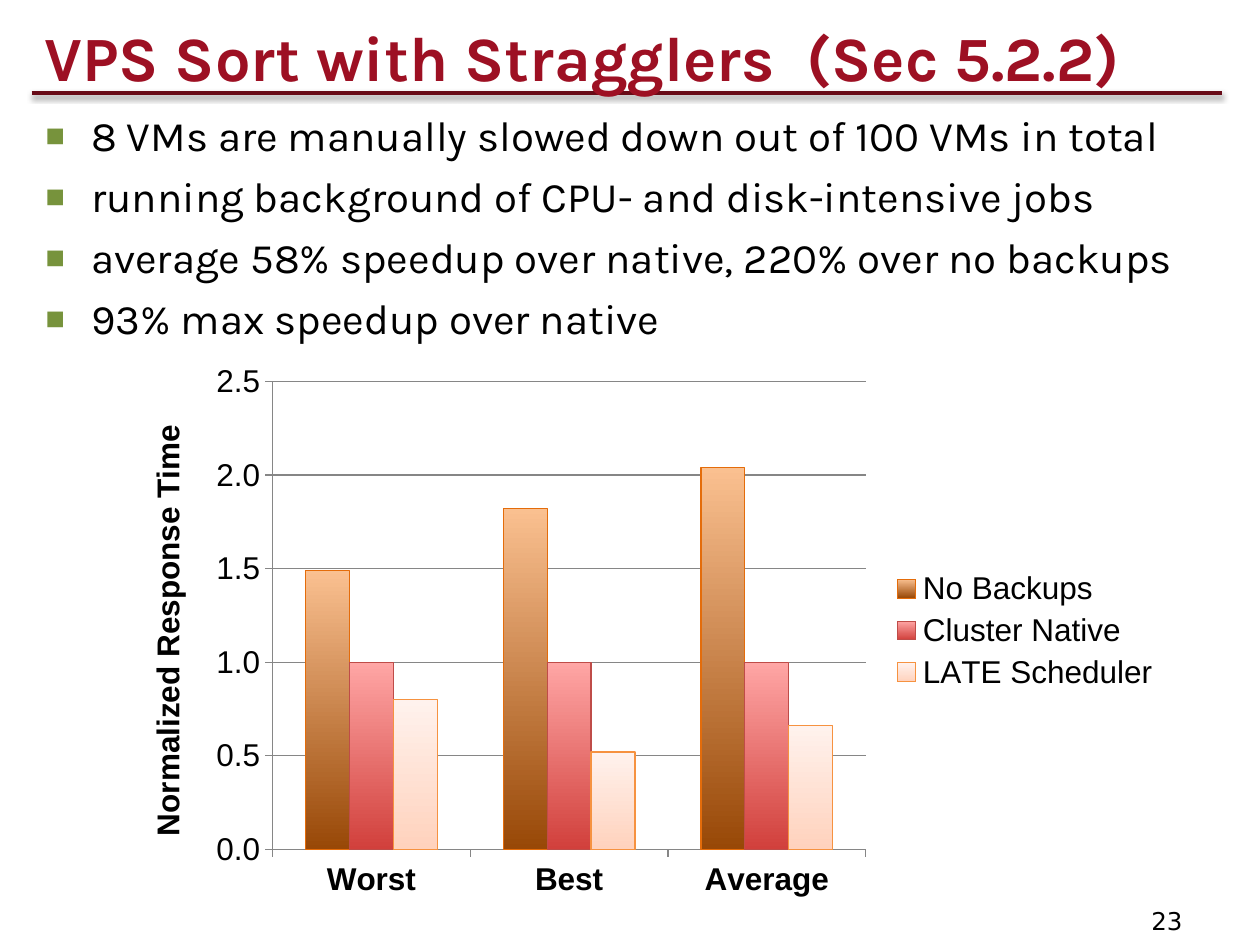
from lxml.etree import SubElement
from pptx import Presentation
from pptx.chart.data import CategoryChartData
from pptx.dml.color import RGBColor
from pptx.enum.chart import XL_CHART_TYPE as ChartType
from pptx.enum.chart import XL_LEGEND_POSITION as LegendPosition
from pptx.enum.chart import XL_TICK_MARK as TickMark
from pptx.enum.shapes import MSO_CONNECTOR as Connector
from pptx.enum.text import MSO_ANCHOR as Anchor
from pptx.enum.text import MSO_AUTO_SIZE as AutoSize
from pptx.enum.text import PP_ALIGN as Align
from pptx.oxml.ns import qn
from pptx.util import Cm, Pt

COLORS = {
    "title": "9D1023",
    "rule": "680B17",
    "text": "000000",
    "bullet": "77933C",
    "grid": "868686",
}

BULLETS = [
    "8 VMs are manually slowed down out of 100 VMs in total",
    "running background of CPU- and disk-intensive jobs",
    "average 58% speedup over native, 220% over no backups",
    "93% max speedup over native",
]

CATEGORIES = ["Worst", "Best", "Average"]
# name, values, bottom colour, top colour, outline
SERIES = [
    ("No Backups", (1.49, 1.82, 2.04), "984807", "FAC090", "E46C0A"),
    ("Cluster Native", (1, 1, 1), "D1403C", "FFA6A5", "BF4C48"),
    ("LATE Scheduler", (0.8, 0.52, 0.66), "FFD2BD", "FFF2ED", "F69240"),
]


def rgb(value):
    return RGBColor.from_string(value)


def style_font(font, name, size, color=COLORS["text"], bold=False):
    font.name = name
    font.size = Pt(size)
    font.bold = bold
    font.color.rgb = rgb(color)


def add_span(para, text, *style, **options):
    span = para.add_run()
    span.text = text
    style_font(span.font, *style, **options)


def add_text_box(page, left, top, width, height):
    box = page.shapes.add_textbox(Cm(left), Cm(top), Cm(width), Cm(height))
    box.text_frame.word_wrap = True
    return box.text_frame


def set_title(page, text):
    title = page.shapes.title
    title.left, title.top = Cm(0.64), Cm(0.23)
    title.width, title.height = Cm(24), Cm(1.8)
    frame = title.text_frame
    frame.vertical_anchor = Anchor.MIDDLE
    frame.auto_size = AutoSize.NONE
    para = frame.paragraphs[0]
    para.alignment = Align.LEFT
    add_span(para, text, "Karla", 36, COLORS["title"], bold=True)


def add_title_rule(page):
    rule = page.shapes.add_connector(
        Connector.STRAIGHT, Cm(0.64), Cm(1.88), Cm(24.64), Cm(1.88))
    rule.line.color.rgb = rgb(COLORS["rule"])
    rule.line.width = Pt(2)
    # Soft shadow below the rule
    effects = SubElement(rule.element.spPr, qn("a:effectLst"))
    shadow = SubElement(
        effects, qn("a:outerShdw"), blurRad=str(Pt(3.1)), dist=str(Pt(1.6)),
        dir="5400000", rotWithShape="0")
    color = SubElement(shadow, qn("a:srgbClr"), val="000000")
    SubElement(color, qn("a:alpha"), val="38000")
    # The rule lies behind the title
    page.shapes.title.element.addprevious(rule.element)


def set_bullet(para):
    props = para._p.get_or_add_pPr()
    indent = Cm(0.95)
    props.set("marL", str(indent))
    props.set("indent", str(-indent))
    color = SubElement(props, qn("a:buClr"))
    SubElement(color, qn("a:srgbClr"), val=COLORS["bullet"])
    SubElement(props, qn("a:buSzPct"), val="150000")
    SubElement(props, qn("a:buFont"), typeface="Arial")
    SubElement(props, qn("a:buChar"), char="▪")


def add_bullets(page, texts):
    frame = add_text_box(page, 0.64, 2.08, 24, 10.16)
    for index, text in enumerate(texts):
        para = frame.add_paragraph() if index else frame.paragraphs[0]
        para.space_after = Pt(6)
        set_bullet(para)
        add_span(para, text, "Karla", 24)


def style_axis(axis, bold=False):
    axis.major_tick_mark = TickMark.OUTSIDE
    axis.minor_tick_mark = TickMark.NONE
    axis.format.line.color.rgb = rgb(COLORS["grid"])
    style_font(axis.tick_labels.font, "Arial", 18, bold=bold)


def style_series(series, bottom, top, outline):
    fill = series.format.fill
    fill.gradient()
    fill.gradient_angle = 90
    for stop, color, position in zip(
            fill.gradient_stops, (bottom, top), (0, 1)):
        stop.color.rgb = rgb(color)
        stop.position = position
    series.format.line.color.rgb = rgb(outline)
    series.format.line.width = Pt(0.75)


def add_response_chart(page):
    data = CategoryChartData()
    data.categories = CATEGORIES
    for name, values, *_ in SERIES:
        data.add_series(name, values)
    chart = page.shapes.add_chart(
        ChartType.COLUMN_CLUSTERED,
        Cm(2.39), Cm(7.11), Cm(21.26), Cm(11.2), data).chart
    style_font(chart.font, "Arial", 18)
    chart.has_title = False

    # Axes
    style_axis(chart.category_axis, bold=True)
    axis = chart.value_axis
    style_axis(axis)
    axis.minimum_scale, axis.maximum_scale, axis.major_unit = 0, 2.5, 0.5
    axis.tick_labels.number_format = "0.0"
    axis.tick_labels.number_format_is_linked = False
    axis.has_major_gridlines = True
    axis.major_gridlines.format.line.color.rgb = rgb(COLORS["grid"])
    add_span(axis.axis_title.text_frame.paragraphs[0],
             "Normalized Response Time", "Arial", 18, bold=True)

    # Legend
    chart.has_legend = True
    chart.legend.position = LegendPosition.RIGHT
    chart.legend.include_in_layout = False
    style_font(chart.legend.font, "Arial", 18)

    # Columns
    plot = chart.plots[0]
    plot.gap_width = 150
    plot.overlap = 0
    plot.vary_by_categories = False
    for series, (_, _, *colors) in zip(plot.series, SERIES):
        style_series(series, *colors)


def add_page_number(page, number):
    frame = add_text_box(page, 22.96, 18.14, 1.88, 0.81)
    add_span(frame.paragraphs[0], number, "DejaVu Sans", 14)


def main():
    deck = Presentation()
    deck.slide_width, deck.slide_height = Cm(25.4), Cm(19.05)
    page = deck.slides.add_slide(deck.slide_layouts[5])
    set_title(page, "VPS Sort with Stragglers  (Sec 5.2.2)")
    add_title_rule(page)
    add_bullets(page, BULLETS)
    add_response_chart(page)
    add_page_number(page, "23")
    deck.save("out.pptx")


if __name__ == "__main__":
    main()
